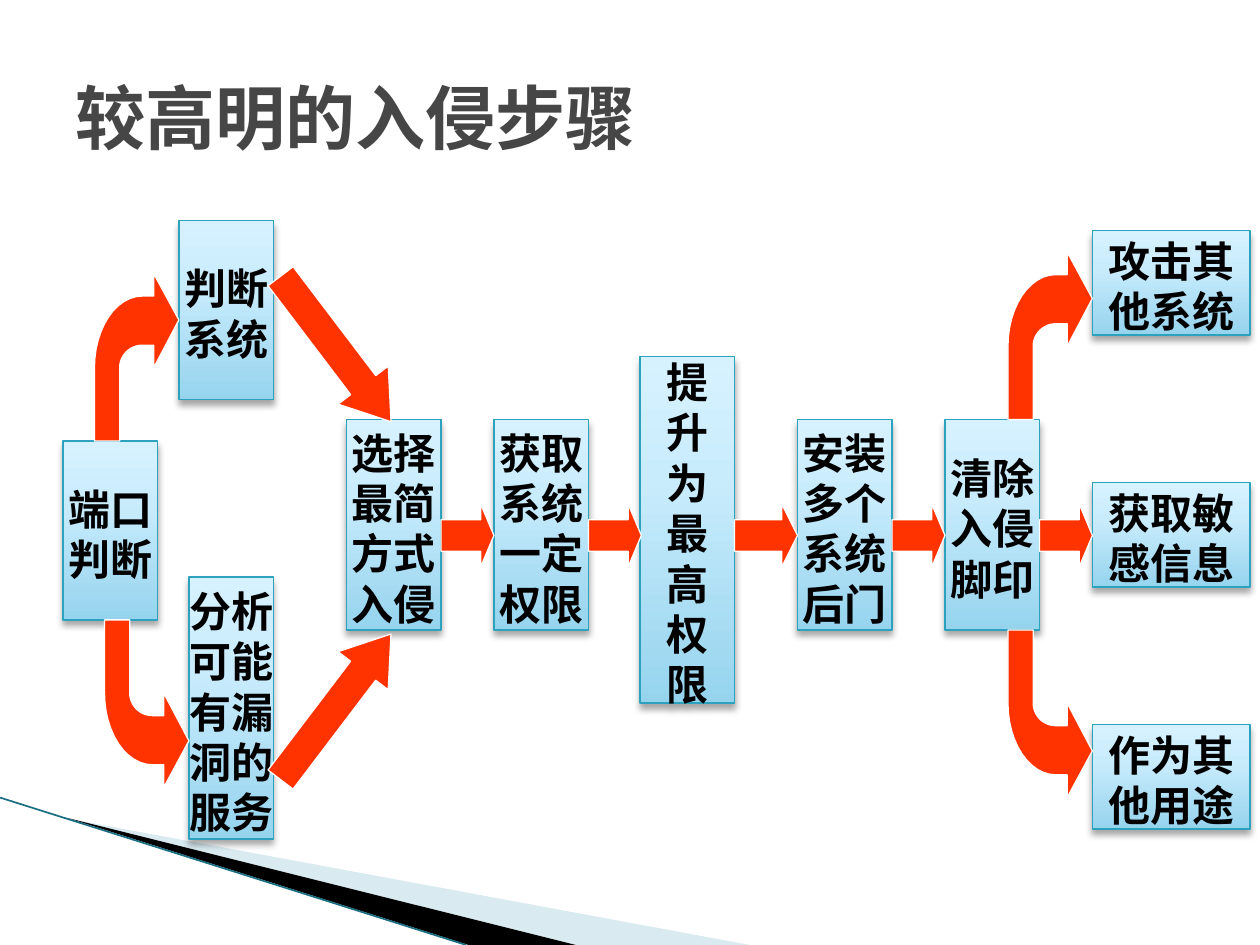
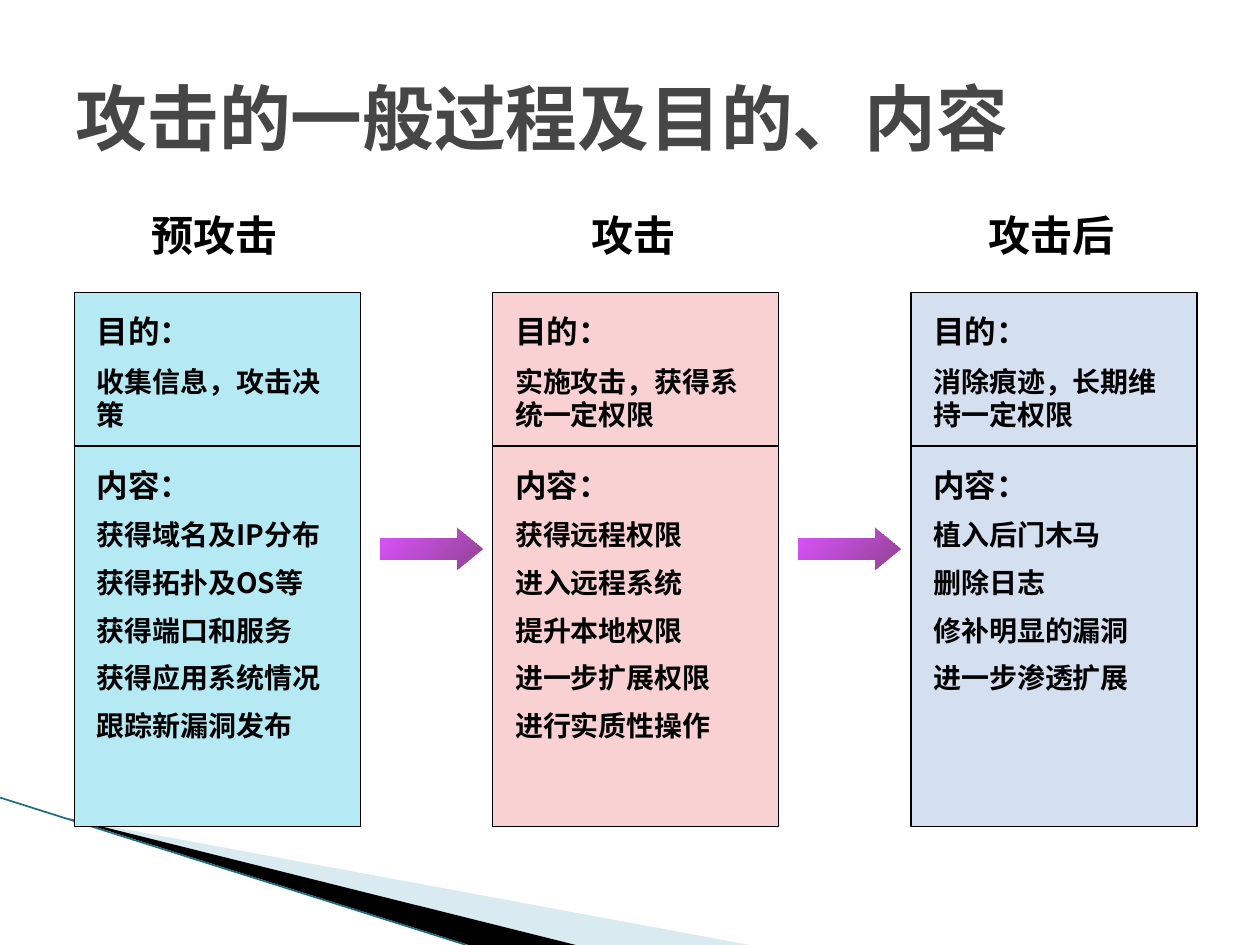
import math

from lxml import etree
from pptx import Presentation
from pptx.dml.color import RGBColor
from pptx.enum.shapes import MSO_CONNECTOR, MSO_SHAPE
from pptx.enum.text import MSO_ANCHOR, MSO_AUTO_SIZE, PP_ALIGN
from pptx.oxml.ns import qn
from pptx.util import Inches, Pt

RECTANGLE = MSO_SHAPE.RECTANGLE
RIGHT_ARROW = MSO_SHAPE.RIGHT_ARROW
STRAIGHT = MSO_CONNECTOR.STRAIGHT
TOP, MIDDLE = MSO_ANCHOR.TOP, MSO_ANCHOR.MIDDLE
LEFT, CENTER = PP_ALIGN.LEFT, PP_ALIGN.CENTER
NO_AUTOSIZE = MSO_AUTO_SIZE.NONE

BLACK = RGBColor(0x00, 0x00, 0x00)
WHITE = RGBColor(0xFF, 0xFF, 0xFF)
TITLE_GREY = RGBColor(0x46, 0x46, 0x46)
BAND_BLUE = RGBColor(0xA0, 0xCB, 0xDC)
BAND_TEAL = RGBColor(0x1B, 0x6E, 0x82)
NODE_LINE = RGBColor(0x2D, 0xA2, 0xBF)
ARROW_RED = RGBColor(0xFF, 0x33, 0x00)
CYAN = RGBColor(0xB5, 0xE9, 0xF4)
PINK = RGBColor(0xF9, 0xD1, 0xD3)
LAVENDER = RGBColor(0xD4, 0xDF, 0xEF)
NODE_STOPS = [
    (0, RGBColor(0x96, 0xD4, 0xEE), 100),
    (65, RGBColor(0xC9, 0xEC, 0xFC), 100),
    (100, RGBColor(0xD7, 0xF2, 0xFF), 100),
]
PURPLE_STOPS = [
    (0, RGBColor(0xCC, 0x00, 0xFF), 68),
    (100, RGBColor(0x66, 0x00, 0x66), 74),
]

MONO = "DejaVu Sans Mono"
SERIF = "Times New Roman"
CJK = "Noto Sans CJK SC"

NODES = [
    (0.5, 3.5, 0.75, 1.42, "端口 判断"),
    (1.42, 1.75, 0.75, 1.42, "判断 系统"),
    (2.75, 3.33, 0.75, 1.67, "选择 最简 方式 入侵"),
    (1.5, 4.58, 0.67, 2.08, "分析 可能 有漏 洞的 服务"),
    (3.92, 3.33, 0.75, 1.67, "获取 系统 一定 权限"),
    (5.08, 2.83, 0.75, 2.75, "提 升 为 最 高 权 限"),
    (6.33, 3.33, 0.75, 1.67, "安装 多个 系统 后门"),
    (7.5, 3.33, 0.75, 1.67, "清除 入侵 脚印"),
    (8.67, 1.83, 1.25, 0.83, "攻击其 他系统"),
    (8.67, 3.83, 1.25, 0.83, "获取敏 感信息"),
    (8.67, 5.75, 1.25, 0.83, "作为其 他用途"),
]
STEP_ARROWS = [(3.5, 0.42), (4.67, 0.42), (5.83, 0.5), (7.08, 0.42), (8.25, 0.42)]
BENT_ARROWS = [(0.75, 2.17, False), (8, 2, False), (0.83, 4.92, True), (8, 5, True)]
MERGE_ARROWS = [(2.52, 52.8), (5.36, 307.2)]

PHASES = [
    ("预攻击", CYAN, "收集信息，攻击决策", False, True,
     ["获得域名及IP分布", "获得拓扑及OS等", "获得端口和服务", "获得应用系统情况", "跟踪新漏洞发布"]),
    ("攻击", PINK, "实施攻击，获得系统一定权限", True, True,
     ["获得远程权限", "进入远程系统", "提升本地权限", "进一步扩展权限", "进行实质性操作"]),
    ("攻击后", LAVENDER, "消除痕迹，长期维持一定权限", False, False,
     ["植入后门木马", "删除日志", "修补明显的漏洞", "进一步渗透扩展"]),
]


def inches(*lengths):
    return [Inches(length) for length in lengths]


def add_para(frame, text, size, font=CJK, color=BLACK, align=LEFT, before=0, spacing=1.2):
    para = frame.paragraphs[0]
    if para.runs:
        para = frame.add_paragraph()
        para.space_before = Pt(before)
    else:
        para.space_before = Pt(0)
    para.alignment = align
    if spacing:
        para.line_spacing = Pt(size * spacing)
    span = para.add_run()
    span.text = text
    span.font.size = Pt(size)
    span.font.bold = True
    span.font.color.rgb = color
    span.font.name = font
    etree.SubElement(span.font._element, qn("a:ea"), typeface=CJK)


def set_alpha(color_node, percent):
    etree.SubElement(color_node, qn("a:alpha"), val=str(percent * 1000))


def paint(shape, fill, line=None):
    shape.shadow.inherit = False
    shape.fill.solid()
    shape.fill.fore_color.rgb = fill
    if line is None:
        shape.line.fill.background()
    else:
        shape.line.color.rgb = line
        shape.line.width = Pt(0.75)
    return shape


def paint_gradient(shape, stops, angle):
    shape.fill.gradient()
    shape.fill.gradient_angle = angle
    stop_list = shape._element.spPr.find(".//" + qn("a:gsLst"))
    for stop in list(stop_list):
        stop_list.remove(stop)
    for position, color, alpha in stops:
        stop = etree.SubElement(stop_list, qn("a:gs"), pos=str(position * 1000))
        color_node = etree.SubElement(stop, qn("a:srgbClr"), val=str(color))
        if alpha < 100:
            set_alpha(color_node, alpha)


def add_soft_shadow(shape):
    effects = shape._element.spPr.find(qn("a:effectLst"))
    shadow = etree.SubElement(
        effects, qn("a:outerShdw"), blurRad=str(Pt(4)), dist=str(Pt(3)),
        dir="5400000", rotWithShape="0")
    set_alpha(etree.SubElement(shadow, qn("a:srgbClr"), val=str(BLACK)), 35)


def add_outline(page, points, fill, line=None):
    corners = [inches(x, y) for x, y in points]
    builder = page.shapes.build_freeform(*corners[0])
    builder.add_line_segments(corners[1:], close=True)
    return paint(builder.convert_to_shape(), fill, line)


def add_box(page, left, top, width, height, fill, line=None):
    shape = page.shapes.add_shape(RECTANGLE, *inches(left, top, width, height))
    return paint(shape, fill, line)


def add_arrow(page, left, top, width, height, head, fill, line=None):
    arrow = page.shapes.add_shape(RIGHT_ARROW, *inches(left, top, width, height))
    arrow.adjustments[0], arrow.adjustments[1] = 0.5, head
    return paint(arrow, fill, line)


def add_page(deck, heading, size):
    page = deck.slides.add_slide(deck.slide_layouts[5])
    band = add_outline(page, [(0.55, 6.5), (5.95, 7.5), (4.56, 7.5)], BAND_BLUE)
    set_alpha(band._element.spPr.find(".//" + qn("a:srgbClr")), 40)
    add_outline(page, [(0.53, 6.49), (4.57, 7.5), (3.72, 7.5)], BLACK)
    edge = page.shapes.add_connector(STRAIGHT, *inches(0, 6.33, 3.7, 7.5))
    edge.line.color.rgb = BAND_TEAL
    edge.line.width = Pt(0.95)
    etree.SubElement(edge._element.spPr, qn("a:effectLst"))

    title = page.shapes.title
    title.left, title.top, title.width, title.height = inches(0.5, 0.3, 9, 1.25)
    frame = title.text_frame
    frame.auto_size = NO_AUTOSIZE
    frame.vertical_anchor = MIDDLE
    add_para(frame, heading, size, font=MONO, color=TITLE_GREY, spacing=None)
    return page


def add_node(page, left, top, width, height, words):
    node = add_box(page, left, top, width, height, WHITE, NODE_LINE)
    paint_gradient(node, NODE_STOPS, 90)
    add_soft_shadow(node)
    frame = node.text_frame
    frame.word_wrap = False
    frame.vertical_anchor = MIDDLE
    frame.margin_left = frame.margin_right = frame.margin_bottom = 0
    frame.margin_top = Inches(0.05)
    for word in words.split():
        add_para(frame, word, 24, font=MONO, align=CENTER)


def quarter_arc(center_x, center_y, radius_x, radius_y, steps=12):
    angles = [math.pi / 2 * step / steps for step in range(steps + 1)]
    return [(center_x - radius_x * math.sin(a), center_y - radius_y * math.cos(a))
            for a in angles]


def add_bent_arrow(page, left, top, downward):
    height = 1.33
    outer = quarter_arc(0.38, 0.75, 0.38, 0.57)
    inner = quarter_arc(0.38, 0.75, 0.18, 0.18)[::-1]
    points = [(0.67, 0.37), (0.47, 0), (0.47, 0.18), *outer, (0, height),
              (0.2, height), *inner, (0.47, 0.57), (0.47, 0.75)]
    add_outline(page, [(left + x, top + (height - y if downward else y)) for x, y in points],
                ARROW_RED, WHITE)


def add_intrusion_page(deck):
    page = add_page(deck, "较高明的入侵步骤", 40)
    for node in NODES:
        add_node(page, *node)
    for left, width in STEP_ARROWS:
        add_arrow(page, left, 4, width, 0.5, 0.25, ARROW_RED, WHITE)
    for bent_arrow in BENT_ARROWS:
        add_bent_arrow(page, *bent_arrow)
    for top, angle in MERGE_ARROWS:
        arrow = add_arrow(page, 1.94, top, 1.45, 0.5, 0.73, ARROW_RED, WHITE)
        arrow.rotation = angle


def add_text_box(page, left, top, width, height, fill=None):
    box = page.shapes.add_textbox(*inches(left, top, width, height))
    if fill is not None:
        box.fill.solid()
        box.fill.fore_color.rgb = fill
    frame = box.text_frame
    frame.word_wrap = True
    frame.vertical_anchor = TOP
    frame.margin_top = Inches(0.08)
    return frame


def add_section(page, left, top, height, color, filled, label, lines):
    add_box(page, left, top, 2.27, height, color, BLACK)
    text_height = 1.07 if height < 2 else 2.41
    frame = add_text_box(page, left + 0.08, top + 0.08, 2.18, text_height,
                         color if filled else None)
    add_para(frame, label, 18, font=SERIF)
    for line in lines:
        add_para(frame, line, 16, before=8)


def add_phase(page, left, name, color, goal, goal_filled, tasks_filled, tasks):
    heading = add_text_box(page, left - 0.02, 1.58, 2.27, 0.5)
    add_para(heading, name, 24, font=SERIF, align=CENTER)
    add_section(page, left, 2.32, 1.22, color, goal_filled, "目的：", [goal])
    add_section(page, left, 3.54, 3.02, color, tasks_filled, "内容：", tasks)


def add_process_page(deck):
    page = add_page(deck, "攻击的一般过程及目的、内容", 41)
    for index, phase in enumerate(PHASES):
        left = 0.59 + 3.32 * index
        add_phase(page, left, *phase)
        if index < len(PHASES) - 1:
            arrow = add_arrow(page, left + 2.43, 4.19, 0.81, 0.33, 0.62, WHITE)
            paint_gradient(arrow, PURPLE_STOPS, 315)


def main():
    deck = Presentation()
    deck.slide_width, deck.slide_height = inches(10, 7.5)
    add_intrusion_page(deck)
    add_process_page(deck)
    deck.save("out.pptx")


if __name__ == "__main__":
    main()
